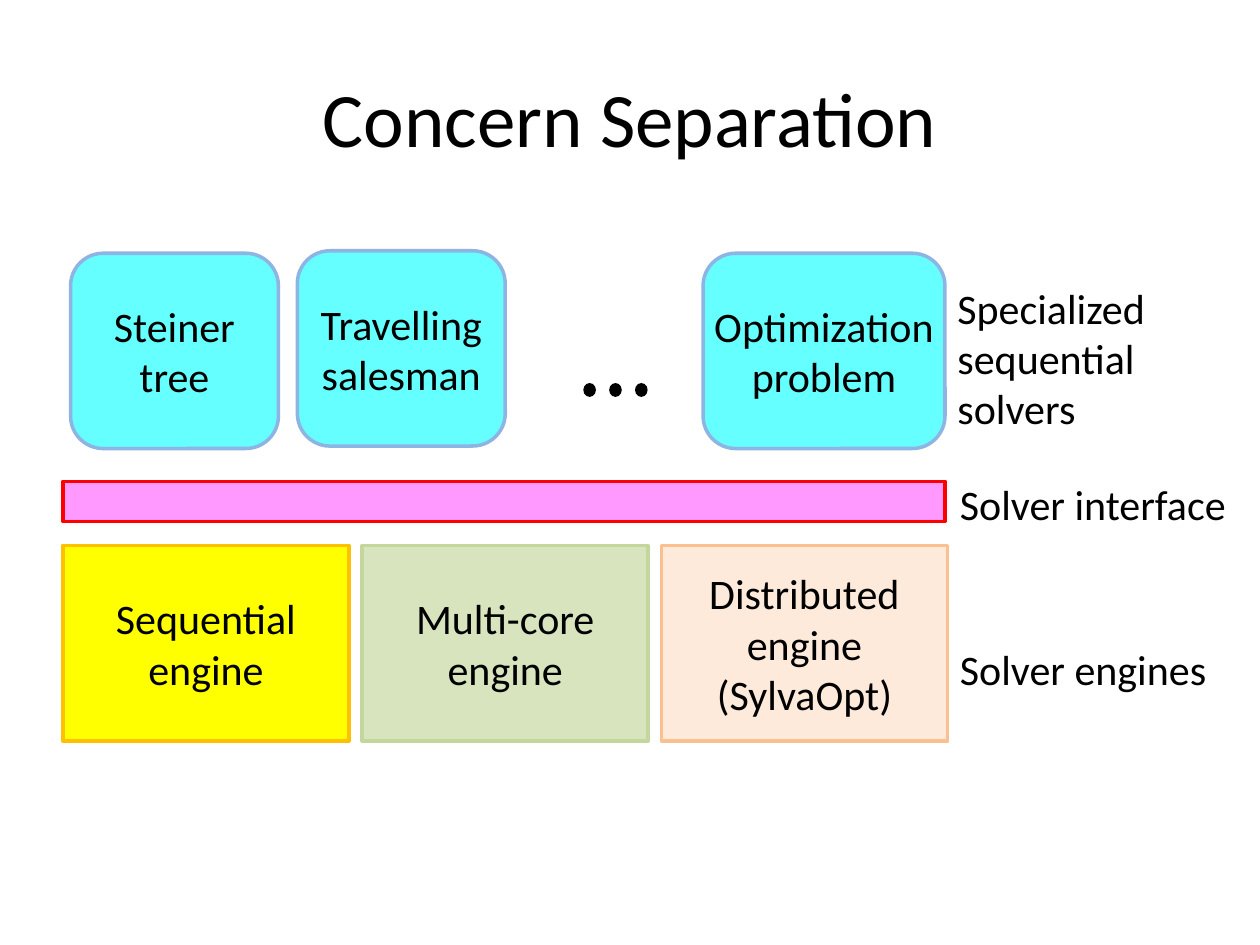
"""Build the Concern Separation slide."""
from pptx import Presentation
from pptx.dml.color import RGBColor
from pptx.enum import shapes, text
from pptx.util import Inches, Pt

SHAPE = shapes.MSO_SHAPE
SOLVERS = [
    ("Steiner\ntree", 0.56, 2.01, 1.65, True),
    ("Travelling\vsalesman", 2.36, 1.99, 1.65, True),
    ("Optimization\vproblem", 5.58, 2.01, 1.92, False),
]
ENGINES = [
    ("Sequential\vengine", "FFFF00", "FFC000"),
    ("Multi-core\vengine", "D7E4BD", "C3D69B"),
    ("Distributed\vengine\v(SylvaOpt)", "FDEADA", "FAC090"),
]
LABELS = [
    ("Specialized\nsequential\vsolvers", 7.5, 2.19, 1.71, 1.31),
    ("Solver interface", 7.52, 3.75, 2.34, 0.5),
    ("Solver engines", 7.52, 5.06, 2.18, 0.5),
]


def color(value):
    """Return the colour for a hex string."""
    return RGBColor.from_string(value)


def place(sp, left, top, width, height):
    """Move and size a shape, in inches."""
    sp.left, sp.top = Inches(left), Inches(top)
    sp.width, sp.height = Inches(width), Inches(height)


def write(tf, words, size=24, align=text.PP_ALIGN.CENTER, wrap=True):
    """Fill a text frame with evenly formatted black text."""
    tf.text = words
    tf.word_wrap = wrap
    for p in tf.paragraphs:
        p.alignment = align
        p.font.name = "Calibri"
        p.font.size = Pt(size)
        p.font.color.rgb = color("000000")


def add_title(s, words):
    """Place and fill the title."""
    sp = s.shapes.title
    place(sp, 0.5, 0.3, 9, 1.25)
    write(sp.text_frame, words, 44)
    sp.text_frame.vertical_anchor = text.MSO_ANCHOR.MIDDLE


def add_block(s, kind, box, fill, line=None, words="", wrap=True):
    """Add a filled shape with optional outline and text."""
    sp = s.shapes.add_shape(kind, *map(Inches, box))
    sp.shadow.inherit = False
    sp.fill.solid()
    sp.fill.fore_color.rgb = color(fill)
    if line:
        sp.line.color.rgb = color(line)
        sp.line.width = Pt(2)
    else:
        sp.line.fill.background()
    if words:
        write(sp.text_frame, words, wrap=wrap)
        sp.text_frame.vertical_anchor = text.MSO_ANCHOR.MIDDLE


def add_label(s, words, *box):
    """Add a left-aligned label that does not wrap."""
    sp = s.shapes.add_textbox(*map(Inches, box))
    write(sp.text_frame, words, align=text.PP_ALIGN.LEFT, wrap=False)
    sp.text_frame.auto_size = text.MSO_AUTO_SIZE.SHAPE_TO_FIT_TEXT


def main():
    """Build and save the slide."""
    prs = Presentation()
    prs.slide_width, prs.slide_height = Inches(10), Inches(7.5)
    s = prs.slides.add_slide(prs.slide_layouts[5])
    add_title(s, "Concern Separation")
    for label in LABELS:
        add_label(s, *label)
    for i, (words, fill, line) in enumerate(ENGINES):
        box = (0.5 + 2.375 * i, 4.33, 2.27, 1.55)
        add_block(s, SHAPE.RECTANGLE, box, fill, line, words)
    for words, left, top, width, wrap in SOLVERS:
        box = (left, top, width, 1.55)
        add_block(s, SHAPE.ROUNDED_RECTANGLE, box, "66FFFF", "8EB4E3", words, wrap)
    for i in range(3):
        add_block(s, SHAPE.OVAL, (4.63 + 0.205 * i, 3.04, 0.1, 0.11), "000000")
    add_block(s, SHAPE.RECTANGLE, (0.5, 3.82, 7, 0.32), "FF99FF", "FF0000")
    prs.save("out.pptx")


if __name__ == "__main__":
    main()
